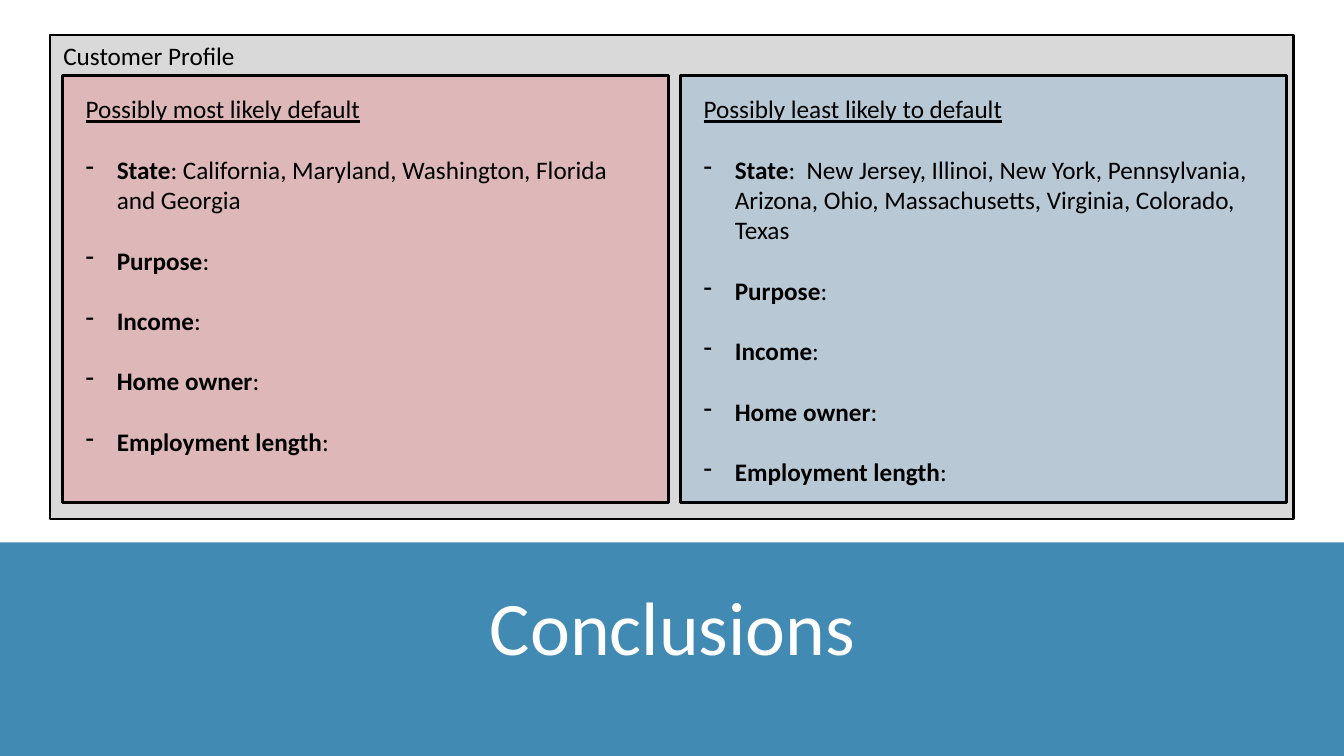
import pptx
import pptx.dml.color
import pptx.enum.shapes
import pptx.enum.text
import pptx.oxml.ns
import pptx.util
from dataclasses import dataclass
from lxml import etree

Inches, Pt = pptx.util.Inches, pptx.util.Pt
ALIGN, ANCHOR = pptx.enum.text.PP_ALIGN, pptx.enum.text.MSO_ANCHOR
qn = pptx.oxml.ns.qn


@dataclass(frozen=True)
class Theme:
    font: str = "Calibri"
    title_size: float = 54
    body_size: float = 18
    item_gap: float = 21.6
    band: str = "418AB3"
    white: str = "FFFFFF"
    black: str = "000000"
    frame: str = "D9D9D9"
    tint_alpha: int = 15


THEME = Theme()

# Content
TITLE = "Conclusions"
FRAME_LABEL = "Customer Profile"
OTHER_TRAITS = [("Purpose", ":"), ("Income", ":"), ("Home owner", ":"), ("Employment length", ":")]
PROFILES = [
    {
        "heading": "Possibly most likely default",
        "states": ": California, Maryland, Washington, Florida and Georgia",
        "tint": "FF0000",
    },
    {
        "heading": "Possibly least likely to default",
        "states": ":  New Jersey, Illinoi, New York, Pennsylvania, Arizona, Ohio, "
                  "Massachusetts, Virginia, Colorado, Texas",
        "tint": "0070C0",
    },
]

# Layout, in inches
SLIDE_W, SLIDE_H = 13.33, 7.5
PAPER_H = 5.38
PANEL_LEFT, PANEL_TOP, PANEL_W, PANEL_H = 0.62, 0.75, 6.01, 4.24
PANEL_STEP = 6.13
TEXT_INSET, TEXT_W, TEXT_H = 0.13, 5.72, 4.34
BULLET_INDENT = 0.31


def rgb(code):
    return pptx.dml.color.RGBColor.from_string(code)


def style(run, size=THEME.body_size, color=THEME.black, bold=False, underline=False):
    run.font.name = THEME.font
    run.font.size = Pt(size)
    run.font.color.rgb = rgb(color)
    run.font.bold = bold
    run.font.underline = underline


def add_box(shapes, left, top, width, height, fill, line_width=None, alpha=None):
    box = shapes.add_shape(pptx.enum.shapes.MSO_SHAPE.RECTANGLE,
                           Inches(left), Inches(top), Inches(width), Inches(height))
    box.shadow.inherit = False
    box.fill.solid()
    box.fill.fore_color.rgb = rgb(fill)
    if alpha:
        tint = box.fill._xPr.find(qn("a:solidFill"))[0]
        etree.SubElement(tint, qn("a:alpha"), val=str(alpha * 1000))
    if line_width:
        box.line.color.rgb = rgb(THEME.black)
        box.line.width = Pt(line_width)
    else:
        box.line.fill.background()


def add_text(shapes, left, top, width, height):
    frame = shapes.add_textbox(Inches(left), Inches(top), Inches(width), Inches(height)).text_frame
    frame.word_wrap = True
    return frame


def add_trait(frame, name, value):
    trait = frame.add_paragraph()
    trait.space_before = Pt(THEME.item_gap)
    for text, bold in ((name, True), (value, False)):
        run = trait.add_run()
        run.text = text
        style(run, bold=bold)
    props = trait._p.get_or_add_pPr()
    props.set("marL", str(Inches(BULLET_INDENT)))
    props.set("indent", str(-Inches(BULLET_INDENT)))
    etree.SubElement(props, qn("a:buFontTx"))
    etree.SubElement(props, qn("a:buChar"), char="-")


def main():
    deck = pptx.Presentation()
    deck.slide_width, deck.slide_height = Inches(SLIDE_W), Inches(SLIDE_H)
    slide = deck.slides.add_slide(deck.slide_layouts[5])
    slide.background.fill.solid()
    slide.background.fill.fore_color.rgb = rgb(THEME.band)

    # White upper area above the title band
    add_box(slide.shapes, 0, 0, SLIDE_W, PAPER_H, THEME.white)

    # Title
    title = slide.shapes.title
    title.left, title.top, title.width, title.height = map(Inches, (2.95, 5.8, 7.44, 1.36))
    title.text_frame.text = TITLE
    title.text_frame.vertical_anchor = ANCHOR.TOP
    heading = title.text_frame.paragraphs[0]
    heading.alignment = ALIGN.CENTER
    heading.line_spacing = 0.9
    heading.space_before = Pt(10)
    style(heading.runs[0], THEME.title_size, THEME.white)

    # Customer profile frame with its label and tinted panels
    card = slide.shapes.add_group_shape().shapes
    add_box(card, 0.5, 0.35, 12.33, 4.8, THEME.frame, 1.5)
    label = add_text(card, 0.53, 0.35, 2.06, 0.4)
    label.text = FRAME_LABEL
    style(label.paragraphs[0].runs[0])
    panel_lefts = [PANEL_LEFT + i * PANEL_STEP for i in range(len(PROFILES))]
    for left, profile in zip(panel_lefts, PROFILES):
        add_box(card, left, PANEL_TOP, PANEL_W, PANEL_H, profile["tint"], 2.25, THEME.tint_alpha)

    # Profile text
    for left, profile in zip(panel_lefts, PROFILES):
        traits = add_text(slide.shapes, left + TEXT_INSET, PANEL_TOP + TEXT_INSET, TEXT_W, TEXT_H)
        traits.text = profile["heading"]
        style(traits.paragraphs[0].runs[0], underline=True)
        for name, value in [("State", profile["states"])] + OTHER_TRAITS:
            add_trait(traits, name, value)

    deck.save("out.pptx")


if __name__ == "__main__":
    main()
